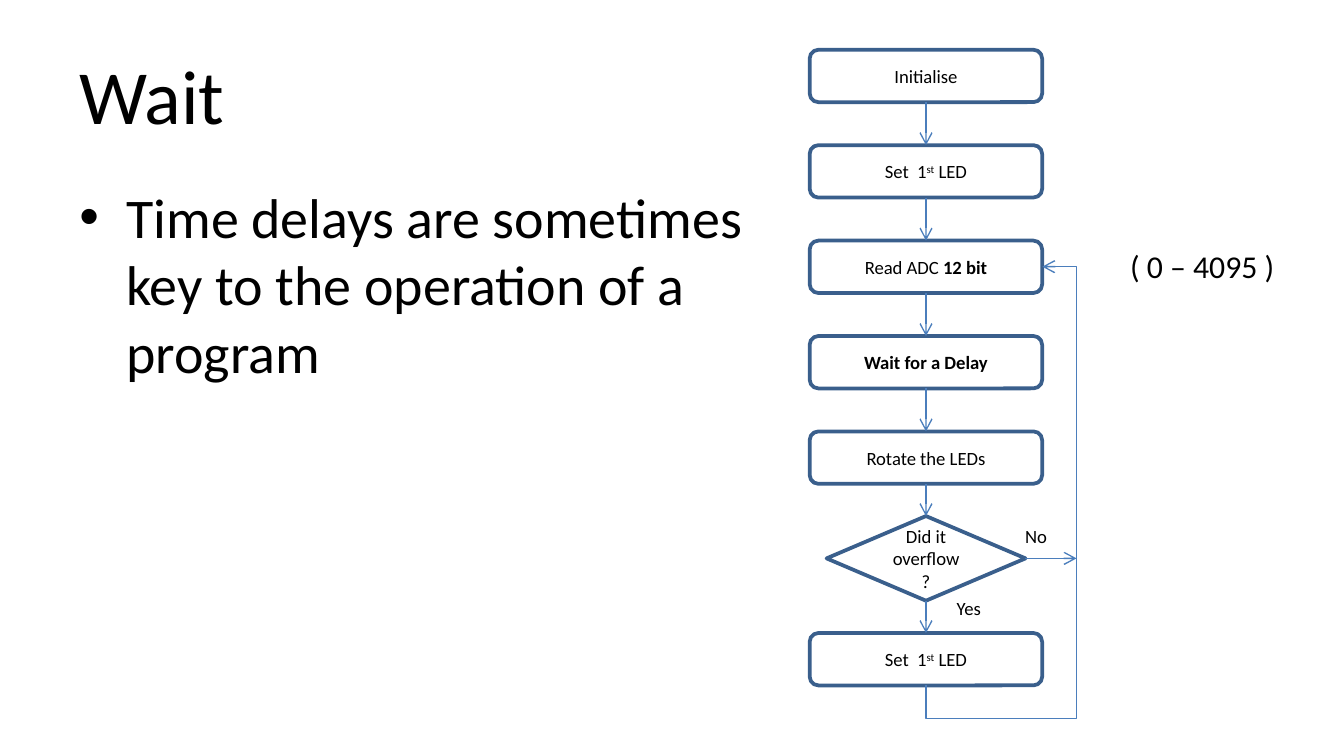
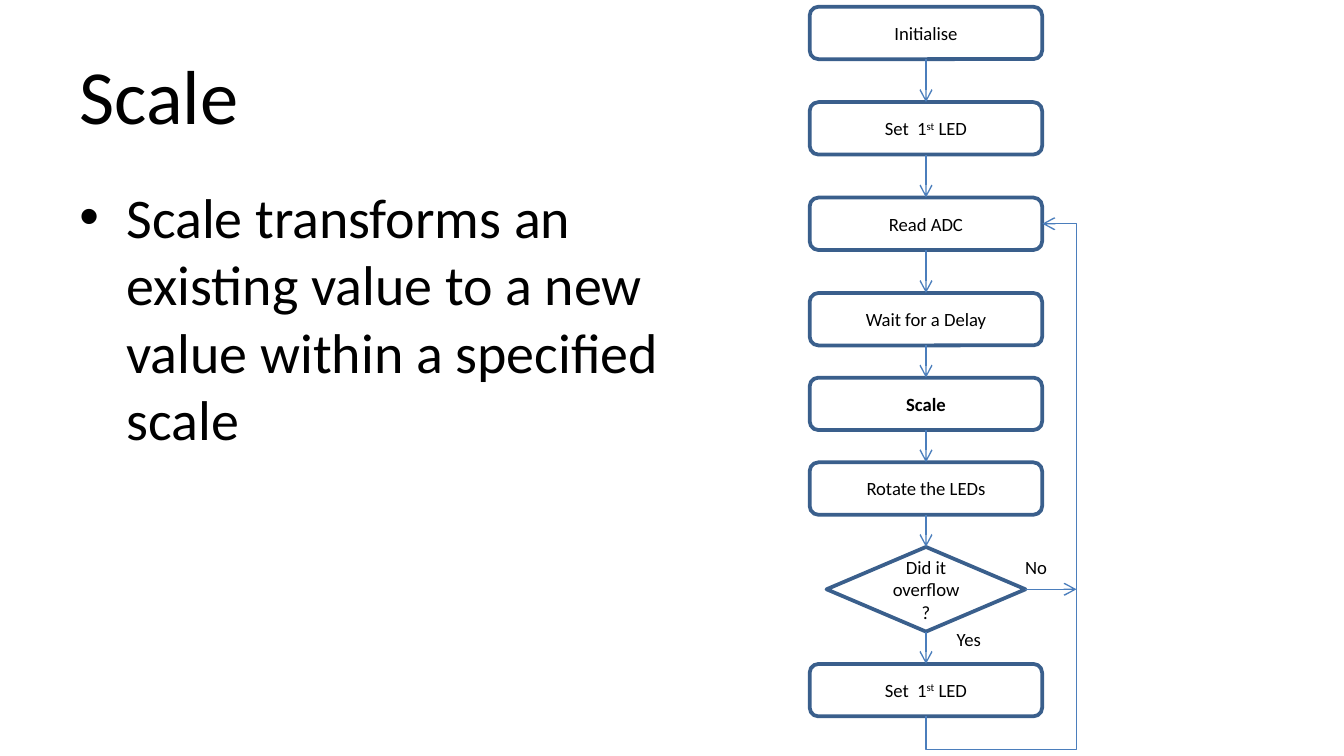
"""Build two flowchart slides about waiting and scaling in an LED program."""
from dataclasses import dataclass

from lxml import etree
from pptx import Presentation
from pptx.dml.color import RGBColor
from pptx.enum.shapes import MSO_CONNECTOR, MSO_SHAPE
from pptx.enum.text import MSO_ANCHOR, MSO_AUTO_SIZE, PP_ALIGN
from pptx.oxml.ns import qn
from pptx.util import Inches, Pt

PROCESS = MSO_SHAPE.FLOWCHART_ALTERNATE_PROCESS
DECISION = MSO_SHAPE.FLOWCHART_DECISION
STRAIGHT, ELBOW = MSO_CONNECTOR.STRAIGHT, MSO_CONNECTOR.ELBOW
LEFT, CENTER = PP_ALIGN.LEFT, PP_ALIGN.CENTER
TOP, MIDDLE = MSO_ANCHOR.TOP, MSO_ANCHOR.MIDDLE
NO_FIT, GROW = MSO_AUTO_SIZE.NONE, MSO_AUTO_SIZE.SHAPE_TO_FIT_TEXT
TOP_SITE, BOTTOM_SITE, RIGHT_SITE = 0, 2, 3


@dataclass(frozen=True)
class Theme:
    """Colours, font and type sizes."""
    text: RGBColor = RGBColor.from_string("000000")
    fill: RGBColor = RGBColor.from_string("FFFFFF")
    border: RGBColor = RGBColor.from_string("3A5F8C")
    arrow: RGBColor = RGBColor.from_string("4B7EBC")
    font: str = "Calibri"
    title: int = 41
    body: int = 30
    note: int = 17
    node: int = 10
    border_width: float = 2
    arrow_width: float = 0.75


THEME = Theme()
SLIDE_W = 10
SLIDE_H = SLIDE_W * 9 / 16
MARGIN = 0.05 * SLIDE_W
TITLE_BOX = (MARGIN, 0.23, SLIDE_W - 2 * MARGIN, 0.94)
BODY_BOX = (MARGIN, 1.31, 5.21, 3.71)
INSETS = (0.09, 0.05, 0.09, 0.05)
INDENT = 0.35

AXIS_X, LOOP_X, LOOP_DROP = 6.89, 8.01, 0.25
BOX_W, BOX_H = 1.73, 0.39
DIAMOND_W, DIAMOND_H = 1.48, 0.63
WIDE_GAP, TIGHT_GAP = 0.32, 0.24
LOOP_TARGET = 2

INITIALISE = [("Initialise", "")]
SET_LED = [("Set  1", ""), ("st", "super"), (" LED", "")]
ROTATE = [("Rotate the LEDs", "")]
OVERFLOW = [("Did it overflow ?", "")]
SLIDES = [
    {
        "title": "Wait",
        "body": "Time delays are sometimes key to the operation of a program",
        "top": 0.37,
        "wide_gaps": 4,
        "nodes": [INITIALISE, SET_LED, [("Read ADC ", ""), ("12 bit", "bold")],
                  [("Wait for a Delay", "bold")], ROTATE, OVERFLOW, SET_LED],
        "range": "( 0 – 4095 )",
    },
    {
        "title": "Scale",
        "body": "Scale transforms an existing value to a new value "
                "within a specified scale",
        "top": 0.05,
        "wide_gaps": 3,
        "nodes": [INITIALISE, SET_LED, [("Read ADC", "")],
                  [("Wait for a Delay", "")], [("Scale", "bold")],
                  ROTATE, OVERFLOW, SET_LED],
    },
]


def inches(*values):
    return [Inches(v) for v in values]


def format_runs(p, size):
    for r in p.runs:
        r.font.name = THEME.font
        r.font.size = Pt(size)
        r.font.color.rgb = THEME.text


def add_text(s, box, text, size, wrap=False):
    sp = s.shapes.add_textbox(*inches(*box))
    tf = sp.text_frame
    tf.text = text
    tf.word_wrap = wrap
    tf.auto_size = NO_FIT if wrap else GROW
    format_runs(tf.paragraphs[0], size)
    return tf


def set_insets(tf):
    (tf.margin_left, tf.margin_top,
     tf.margin_right, tf.margin_bottom) = inches(*INSETS)


def add_title(s, text):
    sp = s.shapes.title
    sp.left, sp.top, sp.width, sp.height = inches(*TITLE_BOX)
    tf = sp.text_frame
    tf.text = text
    tf.auto_size = NO_FIT
    tf.vertical_anchor = MIDDLE
    set_insets(tf)
    p = tf.paragraphs[0]
    p.alignment = LEFT
    format_runs(p, THEME.title)


def add_body(s, text):
    tf = add_text(s, BODY_BOX, text, THEME.body, wrap=True)
    tf.vertical_anchor = TOP
    set_insets(tf)
    p = tf.paragraphs[0]
    p.space_before = Pt(0.2 * THEME.body)
    pPr = p._p.get_or_add_pPr()
    pPr.set("marL", str(Inches(INDENT)))
    pPr.set("indent", str(-Inches(INDENT)))
    etree.SubElement(pPr, qn("a:buFont"), typeface="Arial")
    etree.SubElement(pPr, qn("a:buChar"), char="•")


def add_node(s, kind, y, w, h, runs):
    sp = s.shapes.add_shape(kind, *inches(AXIS_X - w / 2, y, w, h))
    sp.shadow.inherit = False
    sp.fill.solid()
    sp.fill.fore_color.rgb = THEME.fill
    sp.line.color.rgb = THEME.border
    sp.line.width = Pt(THEME.border_width)
    tf = sp.text_frame
    tf.word_wrap = True
    tf.vertical_anchor = MIDDLE
    p = tf.paragraphs[0]
    p.alignment = CENTER
    for text, style in runs:
        r = p.add_run()
        r.text = text
        if style == "bold":
            r.font.bold = True
        elif style == "super":
            r._r.get_or_add_rPr().set("baseline", "30000")
    format_runs(p, THEME.node)
    return sp


def add_arrow(s, kind, start, end):
    c = s.shapes.add_connector(kind, *start, *end)
    c.line.color.rgb = THEME.arrow
    c.line.width = Pt(THEME.arrow_width)
    spPr = c._element.spPr
    etree.SubElement(spPr.find(qn("a:ln")), qn("a:tailEnd"), type="arrow")
    etree.SubElement(spPr, qn("a:effectLst"))
    return c


def add_down_arrow(s, upper, lower):
    c = add_arrow(s, STRAIGHT, (0, 0), (0, 0))
    c.begin_connect(upper, BOTTOM_SITE)
    c.end_connect(lower, TOP_SITE)


def add_loop(s, last, target):
    c = add_arrow(s, ELBOW, (0, 0), (0, 0))
    c.begin_connect(last, BOTTOM_SITE)
    c.end_connect(target, RIGHT_SITE)
    w, h = c.width, c.height
    mid_x, mid_y = c.left + w // 2, c.top + h // 2
    c.left, c.top, c.width, c.height = mid_x - h // 2, mid_y - w // 2, h, w
    spPr = c._element.spPr
    xfrm = spPr.find(qn("a:xfrm"))
    for name, value in (("rot", "5400000"), ("flipH", "1"), ("flipV", "1")):
        xfrm.set(name, value)
    geom = spPr.find(qn("a:prstGeom"))
    geom.set("prst", "bentConnector4")
    shares = (-Inches(LOOP_DROP) / h, Inches(LOOP_X - AXIS_X) / w)
    for i, share in enumerate(shares, 1):
        etree.SubElement(geom.find(qn("a:avLst")), qn("a:gd"),
                         name=f"adj{i}", fmla=f"val {round(share * 100000)}")


def add_flow(s, data):
    nodes, y = [], data["top"]
    decision = len(data["nodes"]) - 2
    for i, runs in enumerate(data["nodes"]):
        kind, w, h = ((DECISION, DIAMOND_W, DIAMOND_H) if i == decision
                      else (PROCESS, BOX_W, BOX_H))
        nodes.append(add_node(s, kind, y, w, h, runs))
        if i == decision:
            add_text(s, (7.53, y + 0.02, 0.37, 0.27), "No", THEME.node)
            add_text(s, (7.02, y + 0.55, 0.39, 0.27), "Yes", THEME.node)
        if i == LOOP_TARGET and "range" in data:
            add_text(s, (8.31, y, 1.29, BOX_H), data["range"], THEME.note)
        y += h + (WIDE_GAP if i < data["wide_gaps"] else TIGHT_GAP)
    for upper, lower in zip(nodes, nodes[1:]):
        add_down_arrow(s, upper, lower)
    sp = nodes[decision]
    mid_y = sp.top + sp.height // 2
    c = add_arrow(s, STRAIGHT, (sp.left + sp.width, mid_y),
                  (Inches(LOOP_X), mid_y))
    c.begin_connect(sp, RIGHT_SITE)
    add_loop(s, nodes[-1], nodes[LOOP_TARGET])


def main():
    prs = Presentation()
    prs.slide_width, prs.slide_height = inches(SLIDE_W, SLIDE_H)
    title_only = prs.slide_layouts.get_by_name("Title Only")
    for data in SLIDES:
        s = prs.slides.add_slide(title_only)
        add_title(s, data["title"])
        add_body(s, data["body"])
        add_flow(s, data)
    prs.save("out.pptx")


if __name__ == "__main__":
    main()
